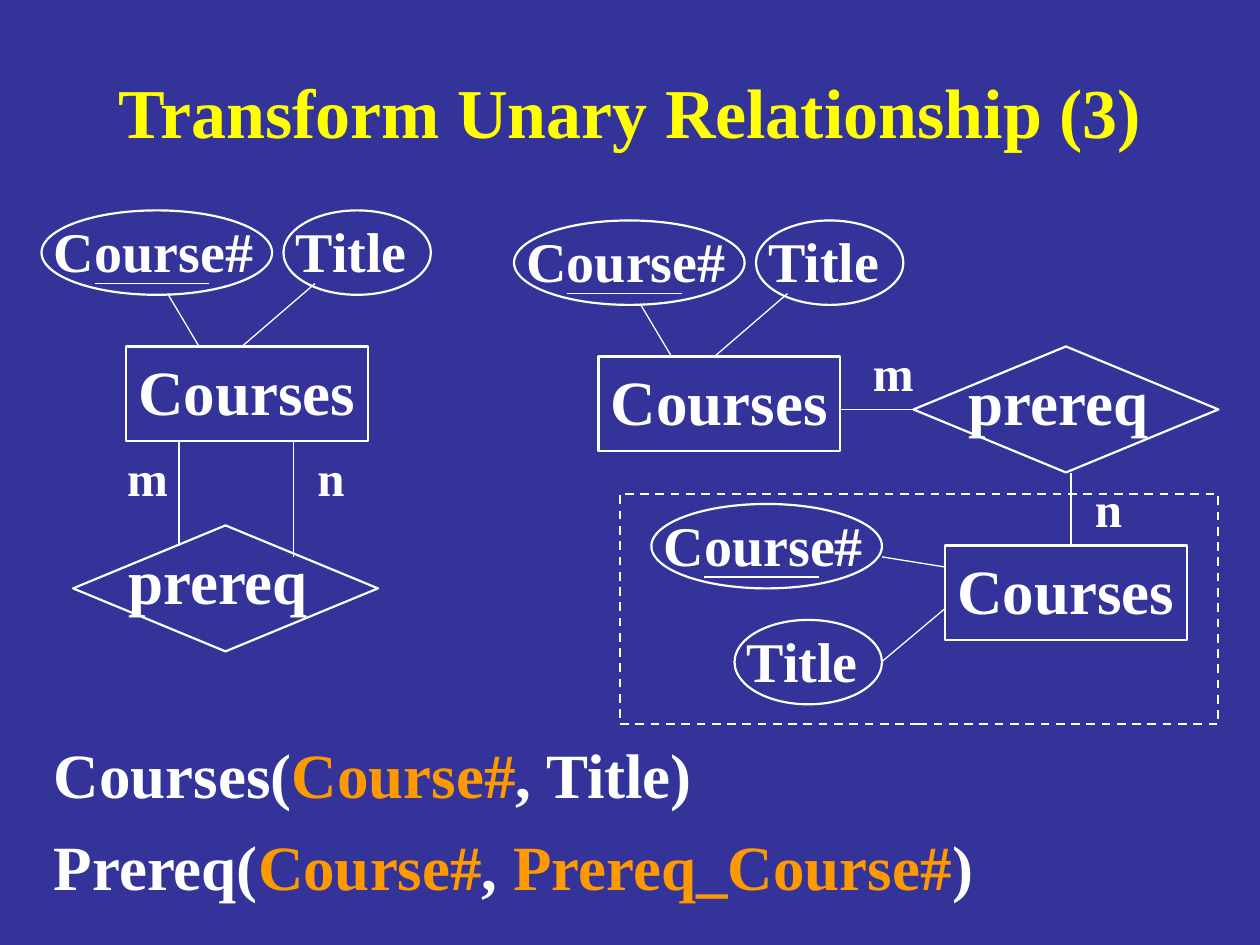
from lxml import etree
from pptx import Presentation
from pptx import util as u
from pptx.dml.color import RGBColor
from pptx.enum import dml, shapes, text
from pptx.oxml import ns

BLUE = RGBColor(0x33, 0x33, 0x99)
WHITE = RGBColor(0xFF, 0xFF, 0xFF)
YELLOW = RGBColor(0xFF, 0xFF, 0x00)
ORANGE = RGBColor(0xFF, 0x99, 0x00)


class DiagramSlide:
    FONT = "Times New Roman"
    OUTLINE = u.Pt(1.25)
    THIN = u.Pt(0.75)

    def __init__(self, presentation):
        self.slide = presentation.slides.add_slide(presentation.slide_layouts[6])
        self.slide.background.fill.solid()
        self.slide.background.fill.fore_color.rgb = BLUE

    def style(self, paragraph, size, color=WHITE):
        font = paragraph.font
        font.name, font.size, font.bold = self.FONT, u.Pt(size), True
        font.color.rgb = color

    def frame(self, left, top, width, height, wrap):
        box = self.slide.shapes.add_textbox(*map(u.Inches, (left, top, width, height)))
        box.text_frame.word_wrap = wrap
        return box.text_frame

    def title(self, words):
        frame = self.frame(0.75, 0.42, 8.5, 0.92, True)
        frame.vertical_anchor = text.MSO_ANCHOR.MIDDLE
        paragraph = frame.paragraphs[0]
        paragraph.text = words
        paragraph.alignment = text.PP_ALIGN.CENTER
        self.style(paragraph, 40, YELLOW)

    def label(self, words, left, top, width, height, size):
        paragraph = self.frame(left, top, width, height, False).paragraphs[0]
        paragraph.text = words
        self.style(paragraph, size)

    def outline(self, kind, left, top, width, height, dashed=False):
        shape = self.slide.shapes.add_shape(
            kind, *map(u.Inches, (left, top, width, height)))
        shape.shadow.inherit = False
        shape.fill.background()
        shape.line.color.rgb = WHITE
        shape.line.width = self.OUTLINE
        if dashed:
            shape.line.dash_style = dml.MSO_LINE.DASH

    def line(self, x1, y1, x2, y2):
        connector = self.slide.shapes.add_connector(
            shapes.MSO_CONNECTOR.STRAIGHT, *map(u.Inches, (x1, y1, x2, y2)))
        connector.line.color.rgb = WHITE
        connector.line.width = self.THIN
        etree.SubElement(connector._element.spPr, ns.qn("a:effectLst"))

    def entity(self, left, top):
        self.label("Courses", left, top, 1.92, 0.7, 36)
        self.outline(shapes.MSO_SHAPE.RECTANGLE, left, top, 1.92, 0.75)

    def relationship(self, left, top):
        self.outline(shapes.MSO_SHAPE.DIAMOND, left, top, 2.42, 1)
        self.label("prereq", left + 0.34, top + 0.08, 1.64, 0.7, 36)

    def key_attribute(self, left, top):
        """Draw the Course# oval with its key underline."""
        self.label("Course#", left, top, 1.78, 0.64, 32)
        self.outline(shapes.MSO_SHAPE.OVAL, left, top, 1.83, 0.67)
        self.line(left + 0.42, top + 0.58, left + 1.33, top + 0.58)

    def title_attribute(self, left, top):
        self.label("Title", left, top, 1.09, 0.64, 32)
        self.outline(shapes.MSO_SHAPE.OVAL, left, top, 1.17, 0.67)

    def entity_with_attributes(self, left, top):
        """Draw Courses with both attributes above it."""
        self.entity(left, top)
        self.title_attribute(left + 1.25, top - 1.08)
        self.key_attribute(left - 0.67, top - 1.08)
        self.line(left + 1.5, top - 0.5, left + 0.92, top)
        self.line(left + 0.33, top - 0.42, left + 0.58, top)

    def cardinality(self, letter, left, top):
        self.label(letter, left, top, 0.52 if letter == "m" else 0.41, 0.57, 28)

    def schemas(self, lines):
        """Write relation schemas, each a list of (words, color) parts."""
        frame = self.frame(0.33, 5.79, 9.33, 1.38, True)
        for index, parts in enumerate(lines):
            paragraph = frame.add_paragraph() if index else frame.paragraphs[0]
            if index:
                paragraph.space_before = u.Pt(9)
            self.style(paragraph, 36)
            for words, color in parts:
                run = paragraph.add_run()
                run.text = words
                font = run.font
                font.name, font.size, font.bold = self.FONT, u.Pt(36), True
                font.color.rgb = color


def main():
    presentation = Presentation()
    presentation.slide_width = u.Inches(10)
    presentation.slide_height = u.Inches(7.5)
    diagram = DiagramSlide(presentation)
    diagram.title("Transform Unary Relationship (3)")

    # Unary relationship
    diagram.relationship(0.58, 4.17)
    diagram.entity_with_attributes(1, 2.75)
    diagram.line(1.42, 4.33, 1.42, 3.5)
    diagram.line(2.33, 4.42, 2.33, 3.5)
    diagram.cardinality("m", 0.91, 3.5)
    diagram.cardinality("n", 2.42, 3.5)

    # Equivalent binary relationship
    diagram.outline(shapes.MSO_SHAPE.RECTANGLE, 4.92, 3.92, 4.75, 1.83, dashed=True)
    diagram.entity_with_attributes(4.75, 2.83)
    diagram.relationship(7.25, 2.75)
    diagram.line(7.25, 3.25, 6.67, 3.25)
    diagram.line(8.5, 4.33, 8.5, 3.75)
    diagram.cardinality("m", 6.83, 2.67)
    diagram.cardinality("n", 8.59, 3.75)

    # Second role of Courses
    diagram.entity(7.5, 4.33)
    diagram.title_attribute(5.83, 4.92)
    diagram.line(7.5, 4.83, 7, 5.25)
    diagram.key_attribute(5.17, 4)
    diagram.line(7, 4.42, 7.5, 4.5)

    diagram.schemas([
        [("Courses(", WHITE), ("Course#", ORANGE), (", Title)", WHITE)],
        [("Prereq(", WHITE), ("Course#", ORANGE), (", ", WHITE),
         ("Prereq_Course#", ORANGE), (")", WHITE)],
    ])
    presentation.save("out.pptx")


if __name__ == "__main__":
    main()
